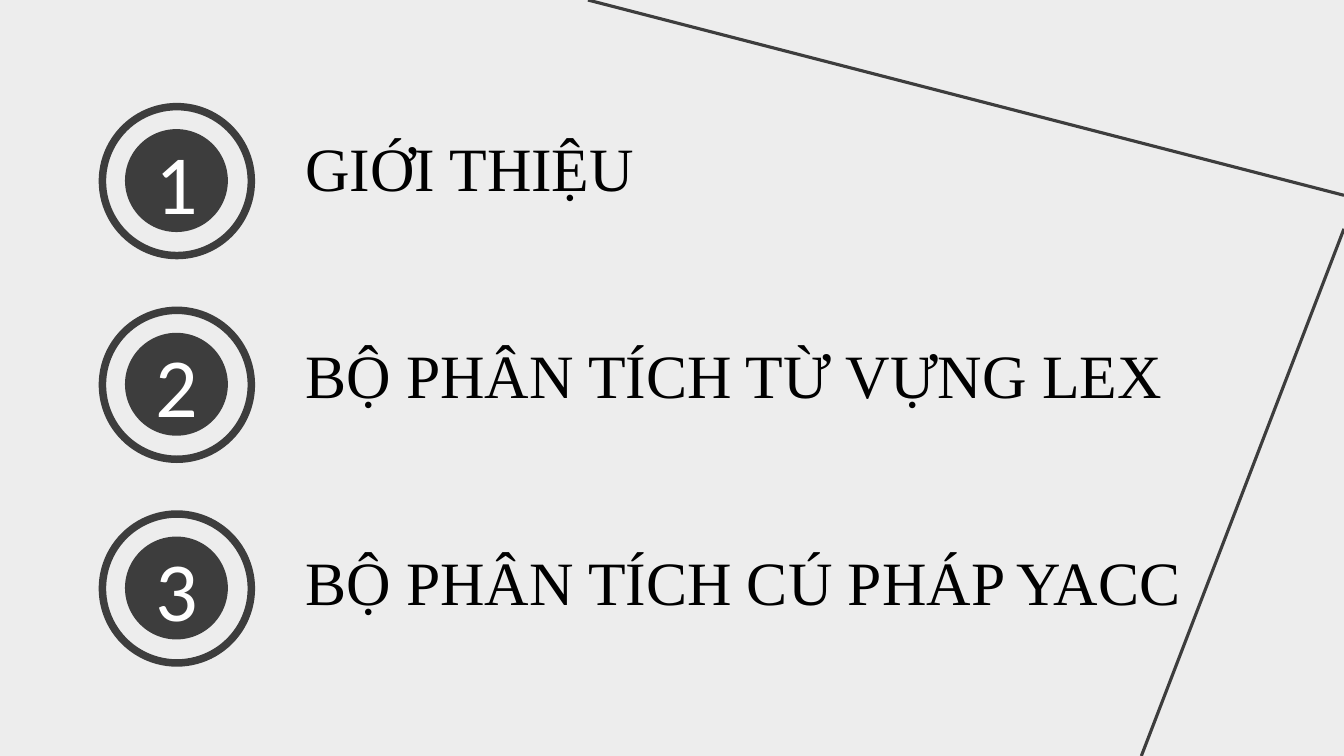
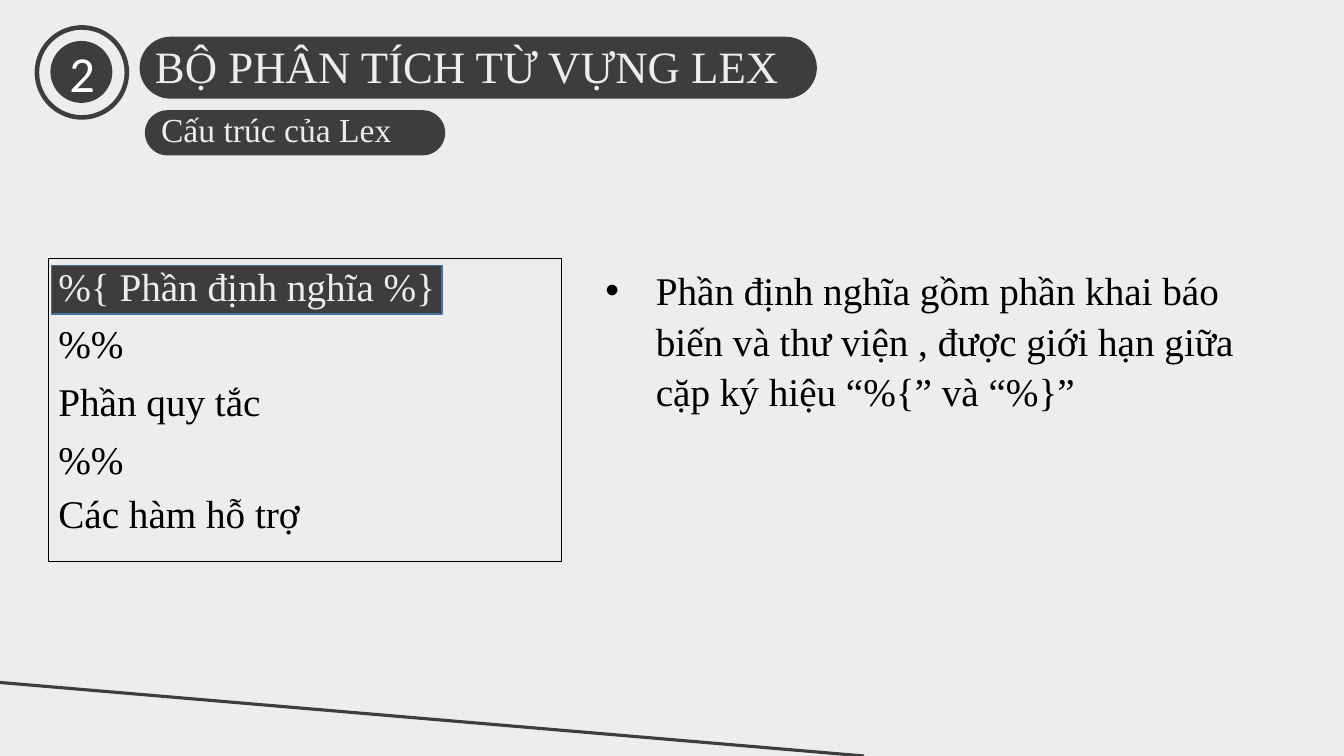
import dataclasses

import lxml.etree
import pptx
import pptx.dml.color
import pptx.enum.dml
import pptx.enum.shapes
import pptx.enum.text
import pptx.oxml.ns
import pptx.util

SHAPE = pptx.enum.shapes.MSO_SHAPE
ANCHOR = pptx.enum.text.MSO_ANCHOR
ALIGN = pptx.enum.text.PP_ALIGN
Pt = pptx.util.Pt
qn = pptx.oxml.ns.qn

WIDTH, HEIGHT = 1280, 720
TITLE_AND_CONTENT = 1


@dataclasses.dataclass(frozen=True)
class Theme:
    paper: str = "EDEDED"
    dark: str = "3D3D3D"
    ink: str = "000000"
    white: str = "FFFFFF"
    outline: str = "43739E"
    font: str = "Times New Roman"
    digit_font: str = "Calibri"
    agenda: int = 44
    title: int = 32
    subtitle: int = 24
    body: int = 28
    agenda_digit: int = 60
    title_digit: int = 36
    rule: float = 2.25
    border: int = 1


THEME = Theme()
LOOSE = {"line": 1.07, "after": 8}


def px(n):
    return pptx.util.Emu(n * 9525)


def rgb(color):
    return pptx.dml.color.RGBColor.from_string(color)


def write(tf, text, *, size, color=THEME.ink, font=THEME.font, align=ALIGN.LEFT,
          bullet=None, hang=0, line=1.0, before=0, after=0):
    """Add one formatted paragraph, filling the first one if it is empty."""
    p = tf.paragraphs[0]
    if p.runs:
        p = tf.add_paragraph()
    pPr = p._p.get_or_add_pPr()
    pPr.set("marL", str(px(hang)))
    pPr.set("indent", str(-px(hang)))
    if bullet:
        lxml.etree.SubElement(pPr, qn("a:buFont")).set("typeface", "Arial")
        lxml.etree.SubElement(pPr, qn("a:buChar")).set("char", bullet)
    else:
        lxml.etree.SubElement(pPr, qn("a:buNone"))
    p.alignment = align
    p.line_spacing = line
    p.space_before, p.space_after = Pt(before), Pt(after)
    r = p.add_run()
    r.text = text
    r.font.size, r.font.name = Pt(size), font
    r.font.color.rgb = rgb(color)


class Deck:
    def __init__(self, theme):
        self.theme = theme
        self.prs = pptx.Presentation()
        self.prs.slide_width, self.prs.slide_height = px(WIDTH), px(HEIGHT)
        fill = self.prs.slide_master.background.fill
        fill.solid()
        fill.fore_color.rgb = rgb(theme.paper)
        self.s = None

    def add_slide(self):
        layout = self.prs.slide_layouts[TITLE_AND_CONTENT]
        self.s = self.prs.slides.add_slide(layout)

    def drop_empty_placeholders(self):
        for sp in list(self.s.placeholders):
            if not sp.text_frame.text:
                sp._element.getparent().remove(sp._element)

    def placeholder(self, idx, x, y, w, h):
        """Place a template placeholder on top and return its text frame."""
        sp = self.s.placeholders[idx]
        sp.left, sp.top, sp.width, sp.height = map(px, (x, y, w, h))
        sp._element.getparent().append(sp._element)
        tf = sp.text_frame
        tf.auto_size = pptx.enum.text.MSO_AUTO_SIZE.NONE
        tf.vertical_anchor = ANCHOR.TOP
        tf.word_wrap = True
        return tf

    def title(self, x, y, w, h):
        return self.placeholder(0, x, y, w, h)

    def body(self, x, y, w, h):
        return self.placeholder(1, x, y, w, h)

    def text_box(self, x, y, w, h):
        tf = self.s.shapes.add_textbox(*map(px, (x, y, w, h))).text_frame
        tf.word_wrap = True
        return tf

    def shape(self, kind, x, y, w, h, adj=None, outline=None):
        sp = self.s.shapes.add_shape(kind, *map(px, (x, y, w, h)))
        sp.shadow.inherit = False
        sp.fill.solid()
        sp.fill.fore_color.rgb = rgb(self.theme.dark)
        if outline:
            sp.line.color.rgb = rgb(outline)
            sp.line.width = Pt(self.theme.border)
        else:
            sp.line.fill.background()
        if adj is not None:
            sp.adjustments[0] = adj
        return sp

    def pill(self, x, y, w, h):
        return self.shape(SHAPE.ROUNDED_RECTANGLE, x, y, w, h, adj=0.5)

    def badge(self, x, y, size, number, digit_size):
        """Draw a number on a disc inside a thin ring."""
        self.shape(SHAPE.DONUT, x, y, size, size, adj=0.048)
        disc = round(size * 0.66)
        gap = (size - disc) // 2
        sp = self.shape(SHAPE.OVAL, x + gap, y + gap, disc, disc)
        sp.text_frame.vertical_anchor = ANCHOR.MIDDLE
        write(sp.text_frame, str(number), size=digit_size, color=self.theme.white,
              font=self.theme.digit_font, align=ALIGN.CENTER)

    def rule(self, x1, y1, x2, y2):
        line = self.s.shapes.add_connector(
            pptx.enum.shapes.MSO_CONNECTOR.STRAIGHT, *map(px, (x1, y1, x2, y2)))
        line.line.color.rgb = rgb(self.theme.dark)
        line.line.width = Pt(self.theme.rule)
        lxml.etree.SubElement(line._element.spPr, qn("a:effectLst"))

    def framed_cell(self, x, y, w, h):
        """Add a bordered one-cell table and return its text frame."""
        table = self.s.shapes.add_table(1, 1, *map(px, (x, y, w, h))).table
        table.first_row = table.horz_banding = False
        cell = table.cell(0, 0)
        tcPr = cell._tc.get_or_add_tcPr()
        for side in ("a:lnL", "a:lnR", "a:lnT", "a:lnB"):
            ln = lxml.etree.SubElement(tcPr, qn(side))
            ln.set("w", str(Pt(self.theme.border)))
            solid = lxml.etree.SubElement(ln, qn("a:solidFill"))
            lxml.etree.SubElement(solid, qn("a:srgbClr")).set("val", self.theme.ink)
        cell.fill.background()
        return cell.text_frame


def agenda_slide(deck):
    topics = ["GIỚI THIỆU", "BỘ PHÂN TÍCH TỪ VỰNG LEX", "BỘ PHÂN TÍCH CÚ PHÁP YACC"]
    top, pitch = 98, 194
    deck.add_slide()
    tf = deck.body(281, top + 21, 960, 2 * pitch + 81)
    for i, topic in enumerate(topics):
        deck.badge(94, top + i * pitch, 149, i + 1, THEME.agenda_digit)
        write(tf, topic, size=THEME.agenda, before=95 if i else 0)
    deck.rule(560, 0, WIDTH, 186)
    deck.rule(1087, HEIGHT, WIDTH, 218)
    deck.drop_empty_placeholders()


def lex_structure_slide(deck):
    deck.add_slide()
    deck.shape(SHAPE.RECTANGLE, 49, 253, 372, 46, outline=THEME.outline)
    tf = deck.framed_cell(46, 246, 489, 289)
    write(tf, "%{ Phần định nghĩa %}", size=THEME.body, color=THEME.paper, **LOOSE)
    for text in ("%%", "Phần quy tắc", "%%"):
        write(tf, text, size=THEME.body, **LOOSE)
    write(tf, "Các hàm hỗ trợ", size=THEME.body)

    write(deck.body(567, 246, 640, 152),
          "Phần định nghĩa gồm phần khai báo biến và thư viện , "
          "được giới hạn giữa cặp ký hiệu “%{” và “%}”",
          size=THEME.body, bullet="•", hang=48, **LOOSE)

    deck.pill(138, 105, 286, 43)
    deck.pill(133, 35, 645, 59)
    deck.badge(33, 24, 90, 2, THEME.title_digit)
    write(deck.title(138, 32, 630, 61), "BỘ PHÂN TÍCH TỪ VỰNG LEX",
          size=THEME.title, color=THEME.paper)
    write(deck.text_box(144, 99, 270, 48), "Cấu trúc của Lex",
          size=THEME.subtitle, color=THEME.paper)
    deck.rule(0, 650, 823, HEIGHT)
    deck.drop_empty_placeholders()


def main():
    deck = Deck(THEME)
    agenda_slide(deck)
    lex_structure_slide(deck)
    deck.prs.save("out.pptx")


if __name__ == "__main__":
    main()
